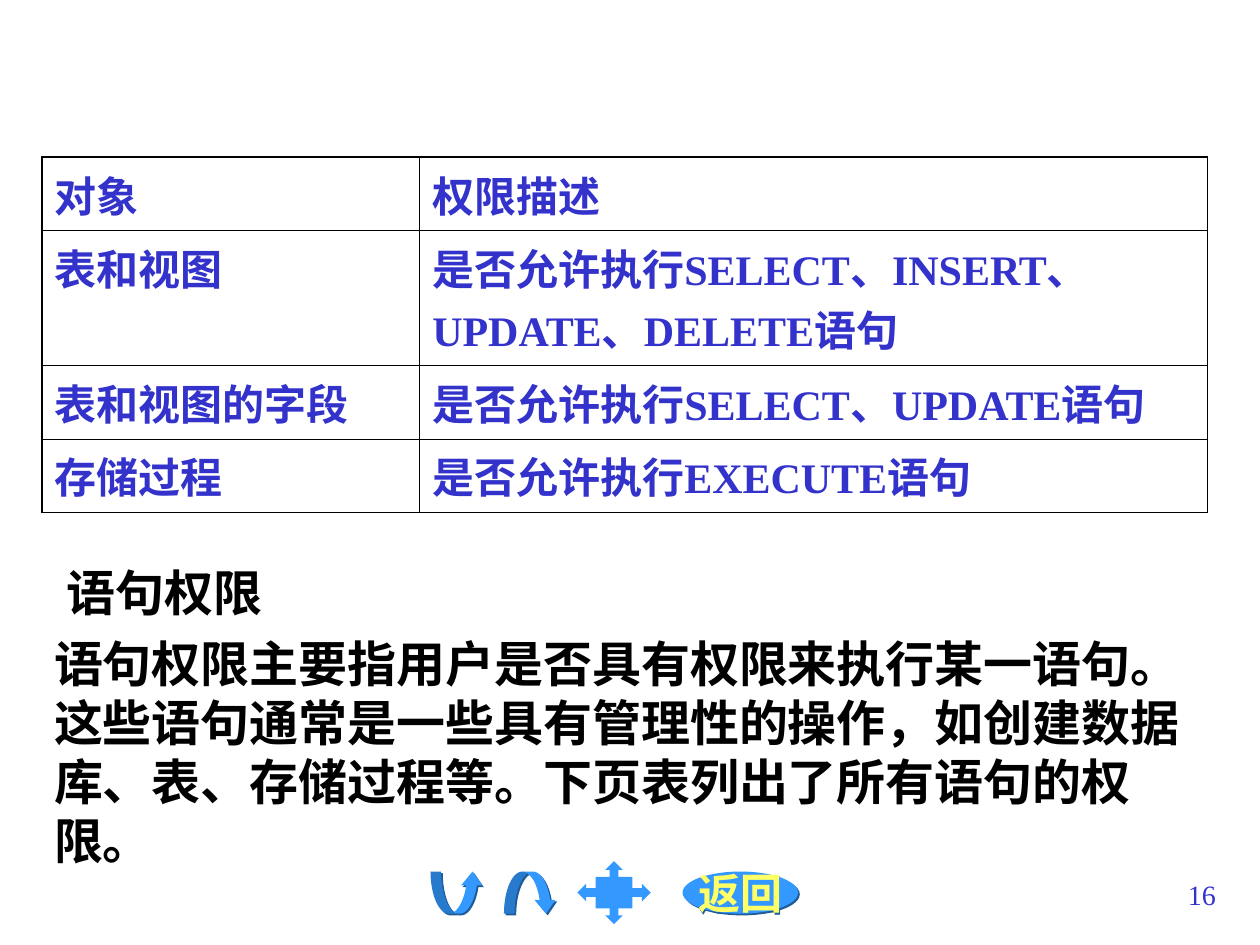
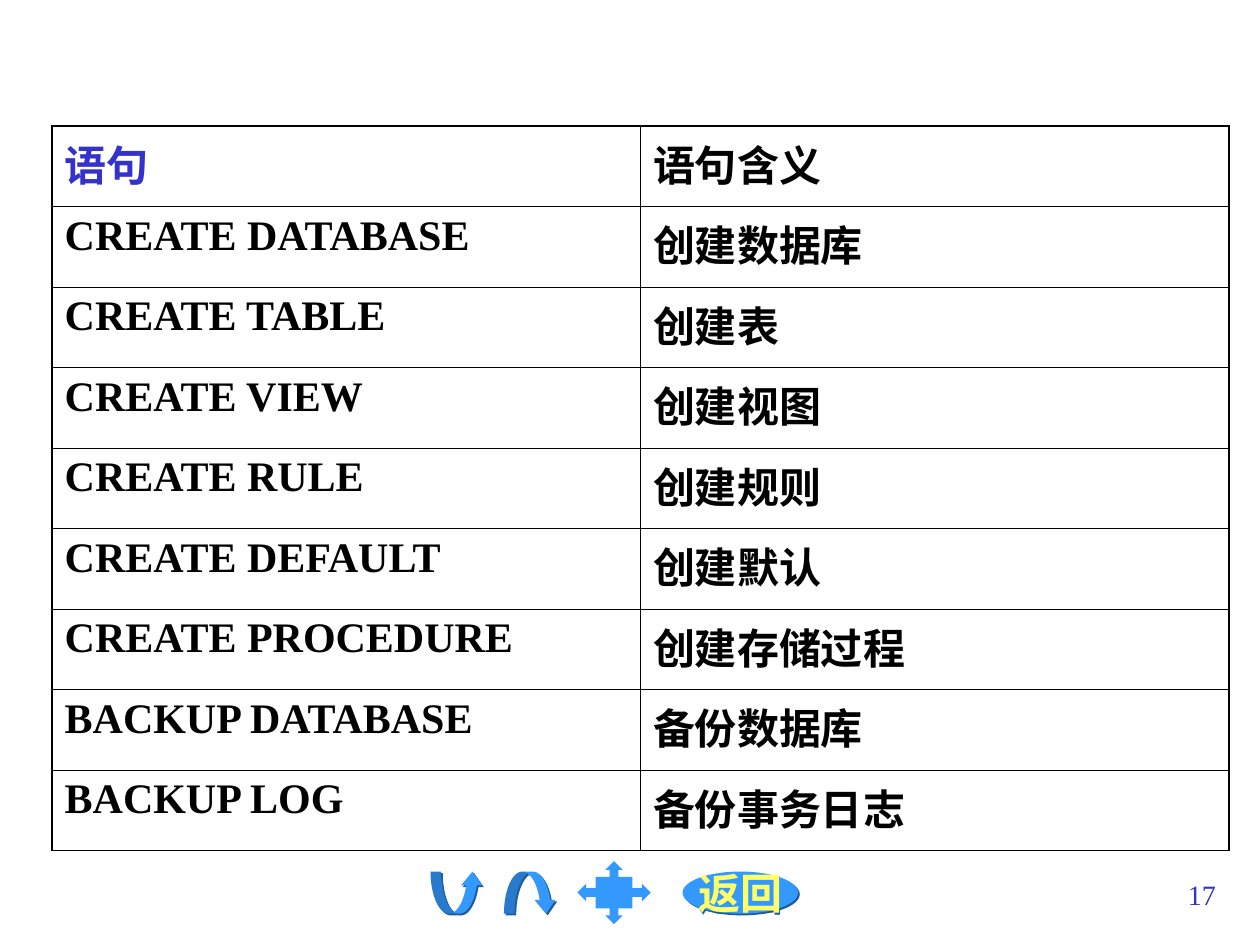
"""Build two slides on database object permissions and statement permissions."""
from lxml import etree
from pptx import Presentation
from pptx.dml.color import RGBColor
from pptx.enum.shapes import MSO_SHAPE
from pptx.enum.text import MSO_ANCHOR, MSO_AUTO_SIZE, PP_ALIGN
from pptx.oxml.ns import qn
from pptx.util import Cm, Pt

LEFT, CENTER, RIGHT, JUSTIFY = PP_ALIGN.LEFT, PP_ALIGN.CENTER, PP_ALIGN.RIGHT, PP_ALIGN.JUSTIFY
UP_ARROW, DOWN_ARROW = MSO_SHAPE.CURVED_UP_ARROW, MSO_SHAPE.CURVED_DOWN_ARROW
CROSS, OVAL = MSO_SHAPE.QUAD_ARROW_CALLOUT, MSO_SHAPE.OVAL
MIDDLE = MSO_ANCHOR.MIDDLE
GROW = MSO_AUTO_SIZE.SHAPE_TO_FIT_TEXT

FONT = "Times New Roman"
COLORS = {
    "accent": "3333CC",
    "text": "000000",
    "button": "3399FF",
    "button_shadow": "1E5B98",
    "button_text": "FFFF66",
}
OUTER_LINE, INNER_LINE = Pt(1.08), Pt(0.45)

OBJECT_ROWS = [
    ("对象", "权限描述"),
    ("表和视图", "是否允许执行SELECT、INSERT、UPDATE、DELETE语句"),
    ("表和视图的字段", "是否允许执行SELECT、UPDATE语句"),
    ("存储过程", "是否允许执行EXECUTE语句"),
]
STATEMENT_ROWS = [
    ("语句", "语句含义"),
    ("CREATE DATABASE", "创建数据库"),
    ("CREATE TABLE", "创建表"),
    ("CREATE VIEW", "创建视图"),
    ("CREATE RULE", "创建规则"),
    ("CREATE DEFAULT", "创建默认"),
    ("CREATE PROCEDURE", "创建存储过程"),
    ("BACKUP DATABASE", "备份数据库"),
    ("BACKUP LOG", "备份事务日志"),
]
STATEMENT_HEADING = "语句权限"
STATEMENT_TEXT = (
    "语句权限主要指用户是否具有权限来执行某一语句。这些语句通常是一些具有管理性的操作，"
    "如创建数据库、表、存储过程等。下页表列出了所有语句的权限。"
)
SLIDES = [
    {
        "number": 16,
        "rows": OBJECT_ROWS,
        "position": (0.84, 3.17),
        "widths": (7.62, 15.88),
        "heights": (1.27, 2.29, 1.27, 1.27),
        "accent_rows": len(OBJECT_ROWS),
        "accent_columns": 2,
        "paragraphs": (STATEMENT_HEADING, STATEMENT_TEXT),
    },
    {
        "number": 17,
        "rows": STATEMENT_ROWS,
        "position": (1.05, 2.54),
        "widths": (11.86, 11.86),
        "heights": (14.61 / len(STATEMENT_ROWS),) * len(STATEMENT_ROWS),
        "accent_rows": 1,
        "accent_columns": 1,
        "paragraphs": (),
    },
]
BUTTONS = [
    (UP_ARROW, (8.68, 17.57, 1.06, 0.85), (0.25, 0.5, 0.33), "", True),
    (DOWN_ARROW, (10.16, 17.57, 1.06, 0.85), (0.25, 0.5, 0.33), "", True),
    (OVAL, (13.76, 17.57, 2.33, 0.85), (), "返回", True),
    (CROSS, (11.64, 17.36, 1.48, 1.27), (0.14, 0.14, 0.14, 0.5), "", False),
]


def color(name):
    return RGBColor.from_string(COLORS[name])


def format_paragraph(paragraph, size, color_name, bold=True, alignment=LEFT):
    paragraph.alignment = alignment
    for run in paragraph.runs:
        run.font.name = FONT
        run.font.size = Pt(size)
        run.font.bold = bold
        run.font.color.rgb = color(color_name)


def add_button_shadow(shape):
    effects = shape._element.spPr.find(qn("a:effectLst"))
    shadow = etree.SubElement(
        effects, qn("a:outerShdw"), dist=str(Pt(1.4)), dir="2700000", algn="ctr", rotWithShape="0"
    )
    etree.SubElement(shadow, qn("a:srgbClr"), val=COLORS["button_shadow"])


def add_buttons(slide):
    for kind, box, adjustments, label, has_shadow in BUTTONS:
        shape = slide.shapes.add_shape(kind, *map(Cm, box))
        for index, value in enumerate(adjustments):
            shape.adjustments[index] = value
        shape.fill.solid()
        shape.fill.fore_color.rgb = color("button")
        shape.line.fill.background()
        shape.shadow.inherit = False
        if has_shadow:
            add_button_shadow(shape)
        if label:
            frame = shape.text_frame
            frame.text = label
            frame.word_wrap = False
            frame.vertical_anchor = MIDDLE
            format_paragraph(frame.paragraphs[0], 24, "button_text", alignment=CENTER)


def set_borders(cell, outer_sides):
    properties = cell._tc.get_or_add_tcPr()
    for index, side in enumerate("LRTB"):
        width = OUTER_LINE if side in outer_sides else INNER_LINE
        line = etree.Element(qn(f"a:ln{side}"), w=str(width))
        fill = etree.SubElement(line, qn("a:solidFill"))
        etree.SubElement(fill, qn("a:srgbClr"), val=COLORS["text"])
        properties.insert(index, line)


def add_permission_table(slide, content):
    rows, widths, heights = content["rows"], content["widths"], content["heights"]
    box = (*content["position"], sum(widths), sum(heights))
    table = slide.shapes.add_table(len(rows), len(widths), *map(Cm, box)).table
    table.first_row = table.horz_banding = False
    for column, width in zip(table.columns, widths):
        column.width = Cm(width)
    for row, height in zip(table.rows, heights):
        row.height = Cm(height)
    for row_index, row in enumerate(rows):
        for column_index, text in enumerate(row):
            cell = table.cell(row_index, column_index)
            cell.text = text
            cell.fill.background()
            accented = row_index < content["accent_rows"] and column_index < content["accent_columns"]
            alignment = JUSTIFY if accented and column_index == 0 else LEFT
            format_paragraph(
                cell.text_frame.paragraphs[0], 24, "accent" if accented else "text", alignment=alignment
            )
            outer_sides = "L" if column_index == 0 else "R"
            if row_index == 0:
                outer_sides += "T"
            if row_index == len(rows) - 1:
                outer_sides += "B"
            set_borders(cell, outer_sides)


def add_text_box(slide, box, paragraphs):
    frame = slide.shapes.add_textbox(*map(Cm, box)).text_frame
    frame.word_wrap = True
    frame.text = "\n".join(paragraphs)
    return frame


def add_explanation(slide, paragraphs):
    frame = add_text_box(slide, (0.84, 11.22, 23.7, 5.26), paragraphs)
    frame.auto_size = GROW
    heading, body = frame.paragraphs
    for paragraph in (heading, body):
        format_paragraph(paragraph, 28, "text")
        paragraph._p.get_or_add_pPr().set("hangingPunct", "0")
    heading._p.get_or_add_pPr().set("marL", str(Pt(7)))
    body.space_before = Pt(7)


def add_slide_number(slide, number):
    frame = add_text_box(slide, (19.47, 17.57, 5.29, 1.27), [str(number)])
    format_paragraph(frame.paragraphs[0], 16, "accent", bold=False, alignment=RIGHT)


def main():
    presentation = Presentation()
    presentation.slide_width, presentation.slide_height = Cm(25.4), Cm(19.05)
    blank_layout = presentation.slide_layouts[6]
    for content in SLIDES:
        slide = presentation.slides.add_slide(blank_layout)
        add_buttons(slide)
        add_permission_table(slide, content)
        if content["paragraphs"]:
            add_explanation(slide, content["paragraphs"])
        add_slide_number(slide, content["number"])
    presentation.save("out.pptx")


if __name__ == "__main__":
    main()
